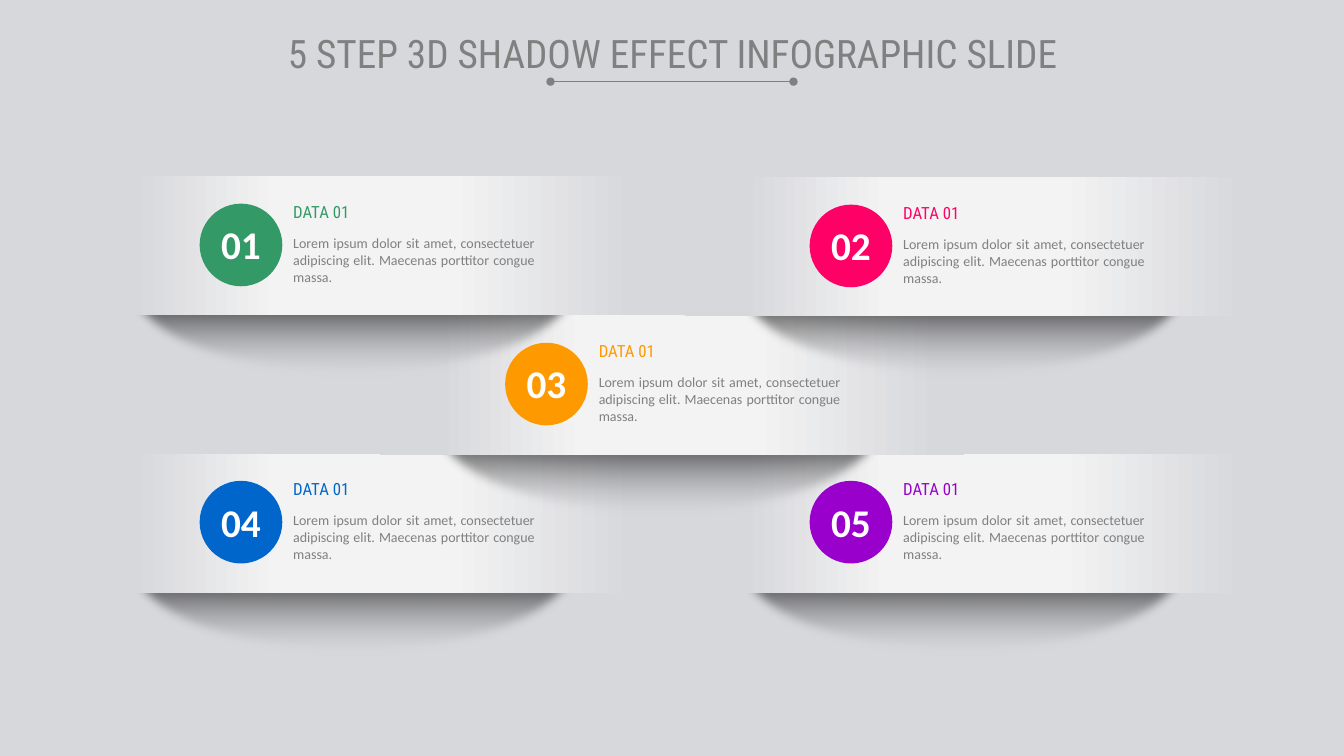
from lxml.etree import SubElement
from pptx import Presentation
from pptx.dml.color import RGBColor
from pptx.enum.shapes import MSO_CONNECTOR, MSO_SHAPE
from pptx.enum.text import MSO_AUTO_SIZE, PP_ALIGN
from pptx.oxml.ns import qn
from pptx.util import Inches, Pt

RECT, OVAL = MSO_SHAPE.RECTANGLE, MSO_SHAPE.OVAL
LINE = MSO_CONNECTOR.STRAIGHT
GROW = MSO_AUTO_SIZE.SHAPE_TO_FIT_TEXT
LEFT, CENTER, JUSTIFY = PP_ALIGN.LEFT, PP_ALIGN.CENTER, PP_ALIGN.JUSTIFY

BACK = RGBColor(0xD7, 0xD8, 0xDC)
PALE = RGBColor(0xF3, 0xF3, 0xF3)
GREY = RGBColor(0x80, 0x80, 0x80)
WHITE = RGBColor(0xFF, 0xFF, 0xFF)
BLACK = RGBColor(0x00, 0x00, 0x00)
GREEN = RGBColor(0x33, 0x99, 0x66)
PINK = RGBColor(0xFF, 0x00, 0x66)
ORANGE = RGBColor(0xFF, 0x99, 0x00)
BLUE = RGBColor(0x00, 0x66, 0xCC)
PURPLE = RGBColor(0x99, 0x00, 0xCC)

BODY = ("Lorem ipsum dolor sit amet, consectetuer adipiscing elit. "
        "Maecenas porttitor congue massa.")
CARDS = [
    ("04", BLUE, 0.74, 4.5),
    ("05", PURPLE, 6.79, 4.5),
    ("03", ORANGE, 3.77, 3.13),
    ("01", GREEN, 0.74, 1.75),
    ("02", PINK, 6.79, 1.76),
]


class Deck:
    """Draws the elements of the slide in one shared style."""

    head_font = "Roboto Condensed"
    body_font = "Calibri"

    def __init__(self, slide):
        self.slide = slide
        self.shapes = slide.shapes
        slide.background.fill.solid()
        slide.background.fill.fore_color.rgb = BACK

    def text(self, box, words, size, font, color, align=LEFT, bold=False):
        frame = self.shapes.add_textbox(*map(Inches, box)).text_frame
        frame.word_wrap = True
        frame.auto_size = GROW
        para = frame.paragraphs[0]
        para.alignment = align
        run = para.add_run()
        run.text = words
        run.font.size = Pt(size)
        run.font.name = font
        run.font.bold = bold
        run.font.color.rgb = color

    def plain(self, shape):
        shape.shadow.inherit = False
        shape.line.fill.background()
        return shape

    def shape(self, kind, box):
        return self.plain(self.shapes.add_shape(kind, *map(Inches, box)))

    def blend(self, shape, angle, stops):
        shape.fill.gradient()
        shape.fill.gradient_angle = angle
        items = shape.element.spPr.find(qn("a:gradFill")).find(qn("a:gsLst"))
        for old in list(items):
            items.remove(old)
        for place, color, alpha in stops:
            stop = SubElement(items, qn("a:gs"), pos=str(place * 1000))
            tone = SubElement(stop, qn("a:srgbClr"), val=str(color))
            if alpha < 100:
                SubElement(tone, qn("a:alpha"), val=str(alpha * 1000))

    def bend(self, shape):
        track = next(shape.element.iter(qn("a:path")))
        wide, high = shape.width, shape.height
        corner, close = track[-2:]
        track.remove(corner)
        for curve in (
            [(1, 0.55), (0.78, 1), (0.5, 1)],
            [(0.22, 1), (0, 0.55), (0, 0)],
        ):
            arc = SubElement(track, qn("a:cubicBezTo"))
            for x, y in curve:
                SubElement(arc, qn("a:pt"), x=str(int(wide * x)),
                           y=str(int(high * y)))
        track.append(close)

    def shade(self, x, y, wide, high):
        form = self.shapes.build_freeform(Inches(x), Inches(y))
        form.add_line_segments([
            (Inches(x + wide), Inches(y)),
            (Inches(x + wide / 2), Inches(y + high)),
        ], close=True)
        bowl = self.plain(form.convert_to_shape())
        self.bend(bowl)
        self.blend(bowl, 270, [(13, BLACK, 60), (100, BACK, 0)])
        glow = bowl.element.spPr.find(qn("a:effectLst"))
        SubElement(glow, qn("a:softEdge"), rad=str(Pt(7)))

    def card(self, label, color, x, y):
        self.shapes = self.slide.shapes.add_group_shape().shapes
        self.shade(x + 0.5, y + 1.19, 4.51, 0.86)
        band = self.shape(RECT, (x, y, 5.79, 1.38))
        self.blend(band, 0, [(10, BACK, 100), (35, PALE, 100),
                             (64, PALE, 100), (96, BACK, 100)])
        disc = self.shape(OVAL, (x + 1.24, y + 0.27, 0.82, 0.82))
        disc.fill.solid()
        disc.fill.fore_color.rgb = color
        self.text((x + 1.24, y + 0.39, 0.82, 0.57), label, 28,
                  self.body_font, WHITE, CENTER, True)
        self.text((x + 2.07, y + 0.2, 1.71, 0.3), "DATA 01", 12,
                  self.head_font, color)
        self.text((x + 2.07, y + 0.53, 2.59, 0.61), BODY, 10,
                  self.body_font, GREY, JUSTIFY)
        self.shapes = self.slide.shapes

    def rule(self, x, y, end):
        line = self.shapes.add_connector(
            LINE, Inches(x), Inches(y), Inches(end), Inches(y))
        line.line.color.rgb = GREY
        line.line.width = Pt(0.5)
        props = line.element.spPr
        stroke = props.find(qn("a:ln"))
        for tip in ("a:headEnd", "a:tailEnd"):
            SubElement(stroke, qn(tip), type="oval")
        SubElement(props, qn("a:effectLst"))


def main():
    show = Presentation()
    show.slide_width, show.slide_height = Inches(13.33), Inches(7.5)
    deck = Deck(show.slides.add_slide(show.slide_layouts[6]))
    for card in CARDS:
        deck.card(*card)
    deck.text((2.6, 0.24, 8.14, 0.57),
              "5 STEP 3D SHADOW EFFECT INFOGRAPHIC SLIDE", 28,
              deck.head_font, GREY, CENTER)
    deck.rule(5.46, 0.81, 7.87)
    show.save("out.pptx")


if __name__ == "__main__":
    main()
